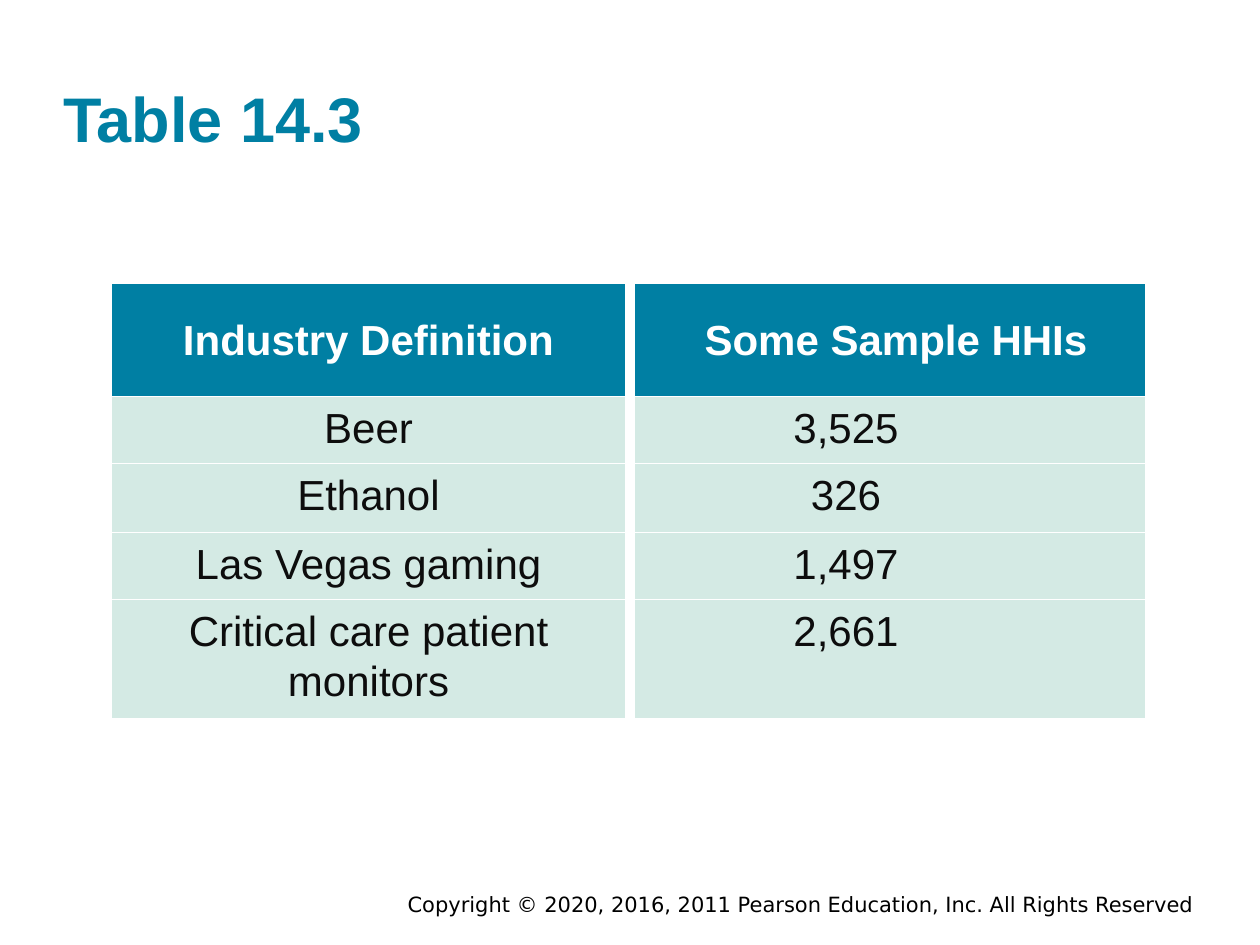
from dataclasses import dataclass

from lxml.etree import SubElement
from pptx import Presentation
from pptx.dml.color import RGBColor as RGB
from pptx.enum.text import MSO_ANCHOR as Anchor, MSO_AUTO_SIZE as AutoSize, PP_ALIGN as Align
from pptx.oxml.ns import qn
from pptx.util import Emu, Pt

PX_PER_INCH = 126


@dataclass(frozen=True)
class Theme:
    font: str = "Arial"
    footer_font: str = "DejaVu Sans"
    accent: str = "007FA3"
    pale: str = "D4EAE4"
    white: str = "FFFFFF"
    ink: str = "0D0D0D"
    black: str = "000000"
    title_size: int = 36
    table_size: int = 24
    footer_size: int = 12


THEME = Theme()

ROWS = [
    ("Industry Definition", "Some Sample HHIs"),
    ("Beer", "3,525"),
    ("Ethanol", "326"),
    ("Las Vegas gaming", "1,497"),
    ("Critical care patient monitors", "2,661"),
]
COLUMN_WIDTHS = (523, 520)
ROW_HEIGHTS = (113, 67, 69, 67, 67)

# Cell margins: left, top, right, bottom
HEADER_MARGINS = ((6, 6, 6, 6), (18, 6, 6, 6))
BODY_MARGINS = ((13, 6, 13, 6), (13, 6, 101, 6))


def px(count):
    return Emu(round(count * 914400 / PX_PER_INCH))


def set_margins(target, margins):
    sides = ("margin_left", "margin_top", "margin_right", "margin_bottom")
    for side, margin in zip(sides, margins):
        setattr(target, side, px(margin))


def format_text(text_frame, font_name, size, color, align, bold=False):
    paragraph = text_frame.paragraphs[0]
    paragraph.alignment = align
    for run in paragraph.runs:
        run.font.name = font_name
        run.font.size = Pt(size)
        run.font.bold = bold
        run.font.color.rgb = RGB.from_string(color)
    return paragraph


def add_title(slide, text):
    title = slide.shapes.title
    title.left, title.top, title.width, title.height = map(px, (50, 84, 1134, 84))
    text_frame = title.text_frame
    text_frame.text = text
    text_frame.word_wrap = True
    text_frame.auto_size = AutoSize.SHAPE_TO_FIT_TEXT
    text_frame.vertical_anchor = Anchor.BOTTOM
    set_margins(text_frame, (13, 13, 13, 13))
    format_text(text_frame, THEME.font, THEME.title_size, THEME.accent, Align.LEFT, True)


def add_footer(slide, text):
    text_frame = slide.shapes.add_textbox(*map(px, (220, 886, 987, 28))).text_frame
    text_frame.text = text
    text_frame.word_wrap = True
    set_margins(text_frame, (13, 6, 13, 6))
    format_text(text_frame, THEME.footer_font, THEME.footer_size, THEME.black, Align.RIGHT)


def set_borders(cell):
    """Wide white gaps between columns, hairlines between rows."""
    properties = cell._tc.get_or_add_tcPr()
    for side, width in (("L", 6), ("R", 6), ("T", 0.25), ("B", 0.25)):
        line = SubElement(properties, qn(f"a:ln{side}"), w=str(Pt(width)))
        fill = SubElement(line, qn("a:solidFill"))
        SubElement(fill, qn("a:srgbClr"), val=THEME.white)


def fill_cell(cell, text, margins, is_header):
    set_borders(cell)
    cell.fill.solid()
    cell.fill.fore_color.rgb = RGB.from_string(THEME.accent if is_header else THEME.pale)
    cell.vertical_anchor = Anchor.MIDDLE if is_header else Anchor.TOP
    set_margins(cell, margins)
    cell.text_frame.text = text
    color = THEME.white if is_header else THEME.ink
    paragraph = format_text(
        cell.text_frame, THEME.font, THEME.table_size, color, Align.CENTER, is_header
    )
    paragraph.line_spacing = 1.07
    paragraph.space_after = Pt(8)


def add_table(slide):
    frame = slide.shapes.add_table(
        len(ROWS), len(COLUMN_WIDTHS), px(107), px(283), px(sum(COLUMN_WIDTHS)), px(433)
    )
    table = frame.table
    table.horz_banding = False
    for column, width in zip(table.columns, COLUMN_WIDTHS):
        column.width = px(width)
    for row_index, (row, height) in enumerate(zip(table.rows, ROW_HEIGHTS)):
        row.height = px(height)
        is_header = row_index == 0
        margins = HEADER_MARGINS if is_header else BODY_MARGINS
        for cell, text, cell_margins in zip(row.cells, ROWS[row_index], margins):
            fill_cell(cell, text, cell_margins, is_header)
    # The last row grows to hold two lines
    frame.height = px(433)


def main():
    presentation = Presentation()
    presentation.slide_width, presentation.slide_height = px(1260), px(945)
    slide = presentation.slides.add_slide(presentation.slide_layouts[5])

    # Footer, title and table, from back to front
    add_footer(slide, "Copyright © 2020, 2016, 2011 Pearson Education, Inc. All Rights Reserved")
    add_title(slide, "Table 14.3")
    add_table(slide)

    presentation.save("out.pptx")


if __name__ == "__main__":
    main()
